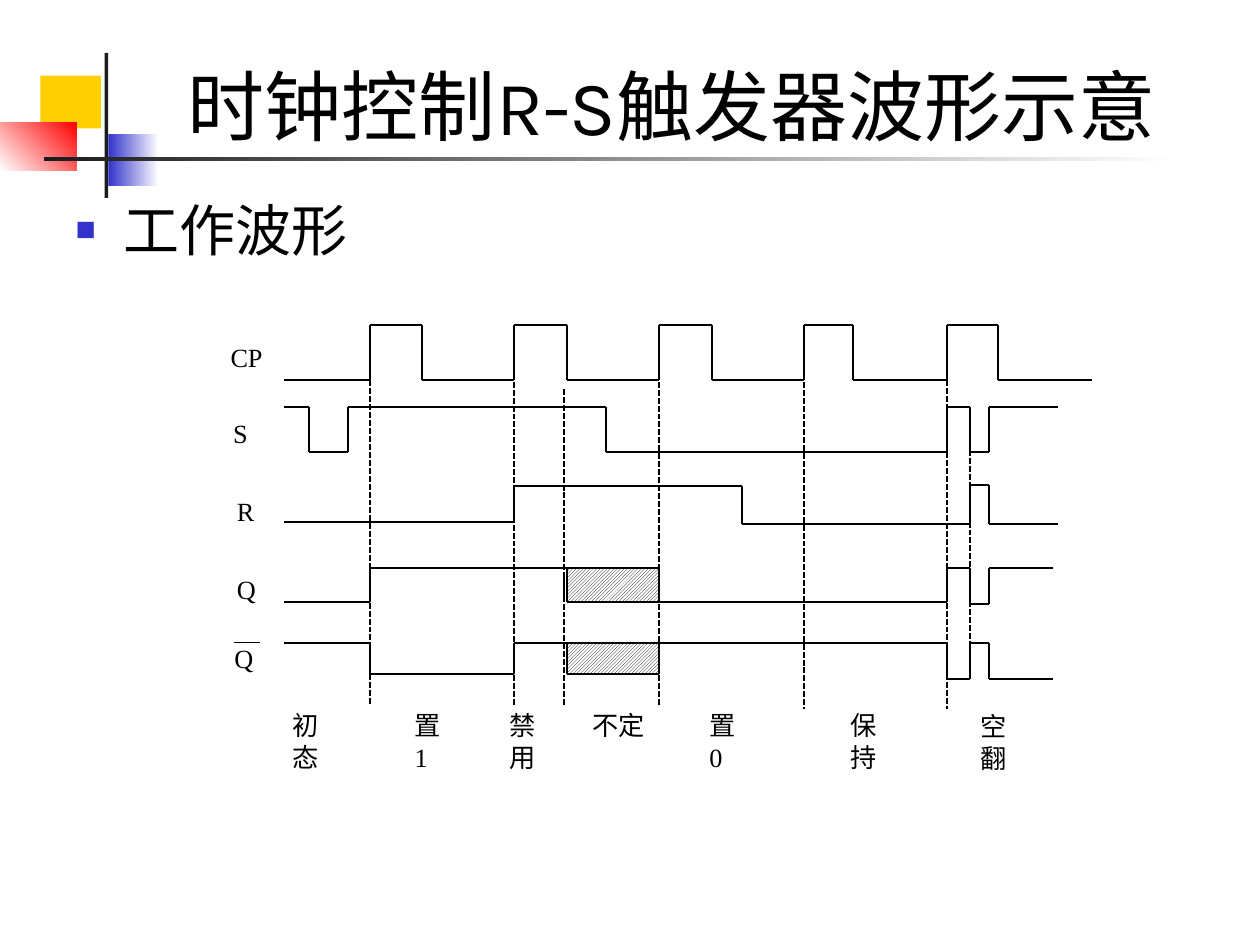
"""Build the slide of clocked R-S flip-flop waveforms."""
import pptx
import pptx.dml.color
import pptx.enum.dml
import pptx.enum.shapes
import pptx.enum.text
import pptx.oxml
import pptx.oxml.ns
import pptx.util

Inches = pptx.util.Inches
Pt = pptx.util.Pt
RGB = pptx.dml.color.RGBColor.from_string
SQUARE_DOT = pptx.enum.dml.MSO_LINE.SQUARE_DOT
RECTANGLE = pptx.enum.shapes.MSO_SHAPE.RECTANGLE
COLORS = {"ink": "000000", "paper": "FFFFFF", "gold": "FFCF01",
          "blue": "3333CC", "red": "FF0000", "bar": "1C1C1C"}

deck = pptx.Presentation()
deck.slide_width, deck.slide_height = Inches(10), Inches(7.5)
page = deck.slides.add_slide(deck.slide_layouts[1])


def write(box, text, size, font):
    """Put one left-aligned run of text into a box."""
    para = box.text_frame.paragraphs[0]
    para.alignment = pptx.enum.text.PP_ALIGN.LEFT
    para.space_before = Pt(0)
    span = para.add_run()
    span.text = text
    span.font.size = Pt(size)
    span.font.name = font
    span.font.color.rgb = RGB(COLORS["ink"])


def add_line(x1, y1, x2, y2, width=1.13, dash=None):
    """Draw a straight line without shadow."""
    line = page.shapes.add_connector(
        pptx.enum.shapes.MSO_CONNECTOR.STRAIGHT,
        Inches(x1), Inches(y1), Inches(x2), Inches(y2))
    line.line.color.rgb = RGB(COLORS["ink"])
    line.line.width = Pt(width)
    if dash:
        line.line.dash_style = dash
    properties = line._element.spPr
    properties.append(properties.makeelement(pptx.oxml.ns.qn("a:effectLst"), {}))


decorations = [
    (0.32, 0.6, 0.48, 0.42, ["gold"], 0),
    (0.86, 1.06, 0.4, 0.42, ["blue", "paper"], 0),
    (0, 0.97, 0.61, 0.38, ["paper", "red"], 45),
    (0.83, 0.42, 0.03, 1.15, ["bar"], 0),
    (0.35, 1.25, 9, 0.03, ["bar", "paper"], 0),
]
for left, top, width, height, shades, angle in decorations:
    block = page.shapes.add_shape(RECTANGLE, Inches(left), Inches(top), Inches(width), Inches(height))
    block.shadow.inherit = False
    block.line.fill.background()
    if len(shades) == 1:
        block.fill.solid()
        block.fill.fore_color.rgb = RGB(COLORS[shades[0]])
    else:
        block.fill.gradient()
        block.fill.gradient_angle = angle
        for stop, shade in zip(block.fill.gradient_stops, shades):
            stop.color.rgb = RGB(COLORS[shade])

title, body = page.shapes.title, page.placeholders[1]
for holder, left, top, width, height in [(title, 1.39, 0.58, 8.52, 0.67), (body, 0.5, 1.5, 9.17, 5.33)]:
    holder.left, holder.top = Inches(left), Inches(top)
    holder.width, holder.height = Inches(width), Inches(height)
    holder.text_frame.auto_size = pptx.enum.text.MSO_AUTO_SIZE.NONE
title.text_frame.vertical_anchor = pptx.enum.text.MSO_ANCHOR.BOTTOM
write(title, "时钟控制R-S触发器波形示意", 44, "Karla")

bullet = body.text_frame.paragraphs[0]._p.get_or_add_pPr()
bullet.set("marL", str(Inches(0.38)))
bullet.set("indent", str(Inches(-0.38)))
namespace = pptx.oxml.ns.nsdecls("a")
for markup in [f'<a:buClr {namespace}><a:srgbClr val="{COLORS["blue"]}"/></a:buClr>',
               f'<a:buSzPct {namespace} val="60000"/>',
               f'<a:buChar {namespace} char="■"/>']:
    bullet.append(pptx.oxml.parse_xml(markup))
write(body, "工作波形", 32, "Karla")

for top, height in [(4.51, 0.26), (5.1, 0.25)]:
    hatch = page.shapes.add_shape(RECTANGLE, Inches(4.5), Inches(top), Inches(0.73), Inches(height))
    hatch.shadow.inherit = False
    hatch.line.fill.background()
    hatch.fill.patterned()
    hatch.fill.pattern = pptx.enum.dml.MSO_PATTERN.LIGHT_UPWARD_DIAGONAL
    hatch.fill.fore_color.rgb = RGB(COLORS["ink"])
    hatch.fill.back_color.rgb = RGB(COLORS["paper"])

clock = []
for rise, fall in [(2.94, 3.35), (4.08, 4.5), (5.23, 5.65), (6.38, 6.77), (7.52, 7.92)]:
    clock += [(3.02, rise), (2.58, fall)]
clock.append((3.02, 8.67))
waves = {
    "CP": clock,
    "S": [(3.23, 2.45), (3.59, 2.76), (3.23, 4.81), (3.59, 7.52),
          (3.23, 7.7), (3.59, 7.85), (3.23, 8.4)],
    "R": [(4.14, 4.08), (3.86, 5.89), (4.16, 7.7), (3.85, 7.85), (4.16, 8.4)],
    "Q": [(4.78, 2.94), (4.51, 5.23), (4.78, 7.52), (4.51, 7.7), (4.79, 7.85), (4.51, 8.36)],
    "not Q": [(5.1, 2.94), (5.35, 4.08), (5.1, 7.52), (5.39, 7.7), (5.1, 7.85), (5.39, 8.36)],
}
for steps in waves.values():
    x, previous = 2.25, None
    for level, end in steps:
        if previous is not None:
            add_line(x, previous, x, level)
        add_line(x, level, end, level)
        x, previous = end, level

for top, bottom in [(4.51, 4.78), (5.1, 5.35)]:
    add_line(4.5, top, 4.5, bottom)
    add_line(4.5, bottom, 5.23, bottom)
add_line(4.48, 4.55, 4.48, 4.78)
add_line(5.23, 5.1, 5.23, 5.35)
add_line(1.86, 5.1, 2.06, 5.1, 0.88)

for x, top, bottom in [(2.94, 3.02, 5.6), (4.08, 3.03, 5.6), (4.48, 3.09, 5.6), (5.23, 3.03, 5.6),
                       (6.38, 3.03, 5.63), (7.52, 3.02, 5.63), (7.7, 3.51, 5.39)]:
    add_line(x, top, x, bottom, dash=SQUARE_DOT)

labels = [
    ("CP", 1.83, 2.71, 0.26, False), ("S", 1.85, 3.31, 0.12, False),
    ("R", 1.88, 3.93, 0.14, False), ("Q", 1.88, 4.55, 0.15, False),
    ("Q", 1.86, 5.1, 0.15, False), ("不定", 4.7, 5.63, 0.42, False),
    ("初态", 2.32, 5.63, 0.4, True), ("置1", 3.29, 5.63, 0.3, True),
    ("禁用", 4.04, 5.63, 0.4, True), ("置0", 5.63, 5.63, 0.3, True),
    ("保持", 6.75, 5.63, 0.4, True), ("空翻", 7.78, 5.64, 0.4, True),
]
for text, left, top, width, wraps in labels:
    label = page.shapes.add_textbox(Inches(left), Inches(top), Inches(width), Inches(0.25))
    frame = label.text_frame
    frame.margin_left = frame.margin_right = frame.margin_top = frame.margin_bottom = 0
    frame.word_wrap = wraps
    write(label, text, 15, "Times New Roman")

deck.save("out.pptx")
